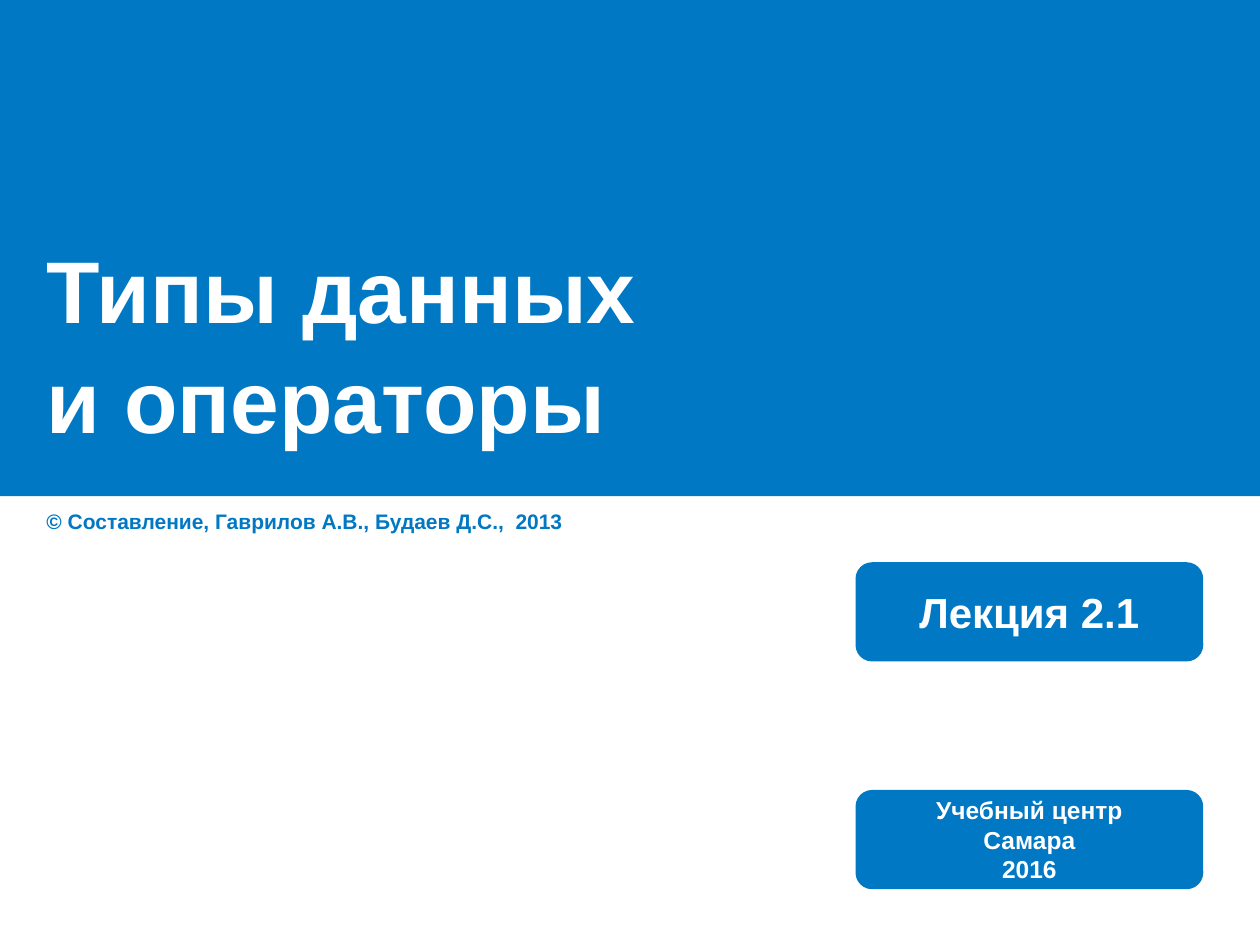
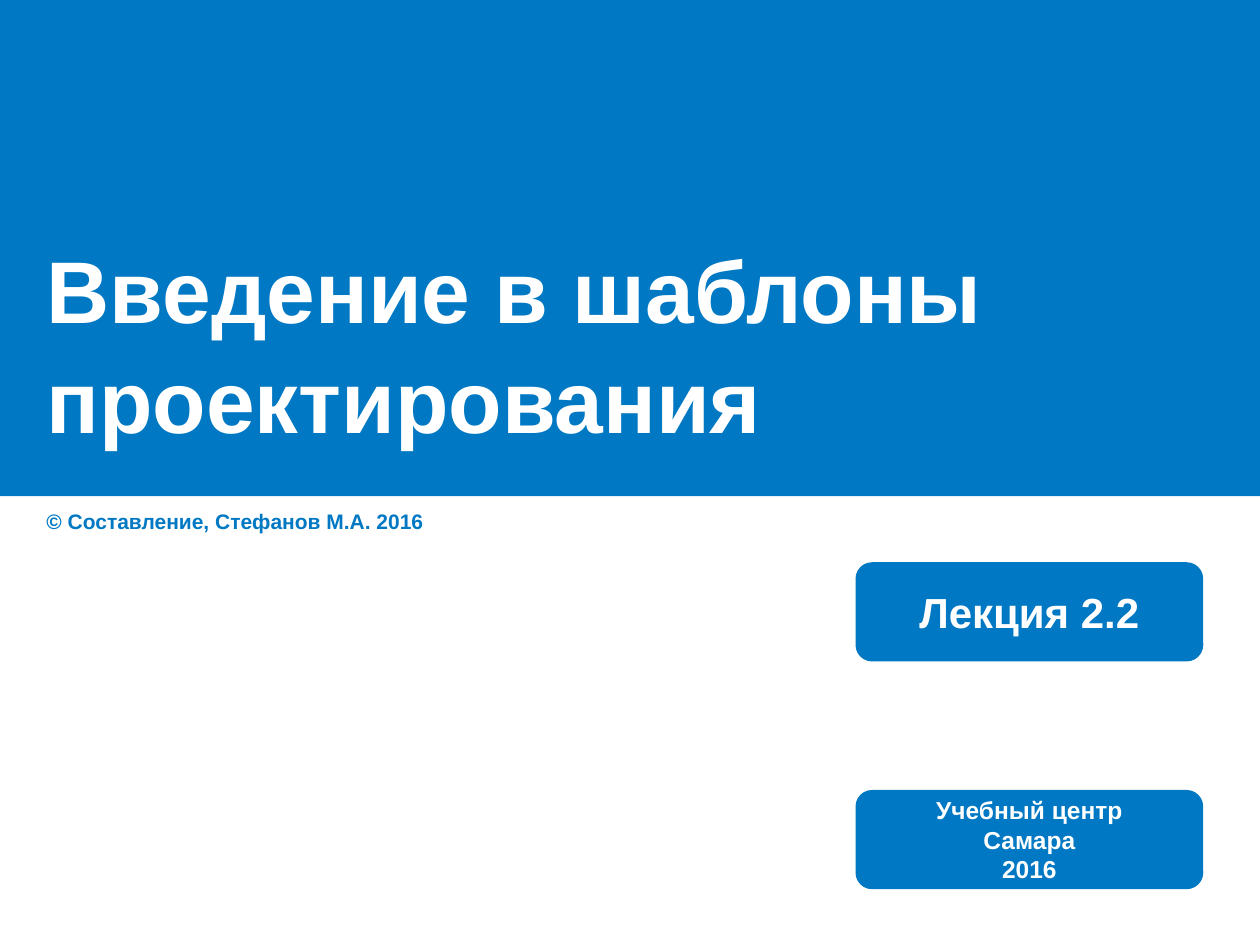
from pptx import Presentation
from pptx.dml.color import RGBColor
from pptx.enum.shapes import MSO_SHAPE
from pptx.enum.text import MSO_ANCHOR, MSO_AUTO_SIZE, PP_ALIGN
from pptx.util import Inches, Pt

HUES = {"blue": "0078C3", "white": "FFFFFF"}
WIDE, HIGH = Inches(10), Inches(7.5)

# Text formats: size, colour, alignment, line spacing
LOOKS = {
    "title": (50, "white", PP_ALIGN.LEFT, 1.05),
    "credit": (12, "blue", PP_ALIGN.LEFT, 1.0),
    "talk": (24, "white", PP_ALIGN.CENTER, 1.0),
    "place": (14, "white", PP_ALIGN.CENTER, 1.0),
}

# Shares of the slide in percent: left, top, width, height
SPOTS = {
    "band": (0, 0, 100, 52.5),
    "title": (2.7, 19.9, 94.5, 32.3),
    "credit": (2.7, 53.2, 48.8, 4),
    "talk": (67.9, 59.5, 27.6, 10.5),
    "place": (67.9, 83.6, 27.6, 10.5),
}

PLACE = "Учебный центр\nСамара\n2016"
TALKS = [
    ("Типы данных \vи операторы",
     "© Составление, Гаврилов А.В., Будаев Д.С.,  2013", "Лекция 2.1"),
    ("Введение в шаблоны проектирования",
     "© Составление, Стефанов М.А. 2016", "Лекция 2.2"),
]


def spot(name):
    left, top, width, height = SPOTS[name]
    return [round(share * side / 100) for share, side in
            ((left, WIDE), (top, HIGH), (width, WIDE), (height, HIGH))]


def write(shape, text, look, anchor=MSO_ANCHOR.MIDDLE, wrap=True):
    size, hue, align, gap = LOOKS[look]
    frame = shape.text_frame
    frame.text = text
    form = {"auto_size": MSO_AUTO_SIZE.NONE, "word_wrap": wrap,
            "vertical_anchor": anchor}
    for key, value in form.items():
        setattr(frame, key, value)
    for para in frame.paragraphs:
        para.alignment, para.line_spacing = align, gap
        for run in para.runs:
            for key, value in {"name": "Arial", "size": Pt(size), "bold": True}.items():
                setattr(run.font, key, value)
            run.font.color.rgb = RGBColor.from_string(HUES[hue])


deck = Presentation()
deck.slide_width, deck.slide_height = WIDE, HIGH
layout = deck.slide_layouts[5]

for index, (head, credit, talk) in enumerate(TALKS):
    slide = deck.slides.add_slide(layout)
    shapes = slide.shapes

    # Title
    title = shapes.title
    for key, value in zip(("left", "top", "width", "height"), spot("title")):
        setattr(title, key, value)
    write(title, head, "title")

    # Credit line
    write(shapes.add_textbox(*spot("credit")), credit, "credit", MSO_ANCHOR.TOP)

    # Lecture and place badges, plus the band on the first pass
    parts = [("talk", talk), ("place", PLACE)]
    if index == 0:
        parts.append(("band", ""))
    for name, text in parts:
        kind = MSO_SHAPE.ROUNDED_RECTANGLE if text else MSO_SHAPE.RECTANGLE
        block = shapes.add_shape(kind, *spot(name))
        block.shadow.inherit = False
        block.fill.solid()
        block.fill.fore_color.rgb = RGBColor.from_string(HUES["blue"])
        block.line.fill.background()
        if text:
            write(block, text, name, wrap=False)
        else:
            # The shared band belongs to the layout, behind all else
            layout.shapes.element.insert(2, block.element)

deck.save("out.pptx")
